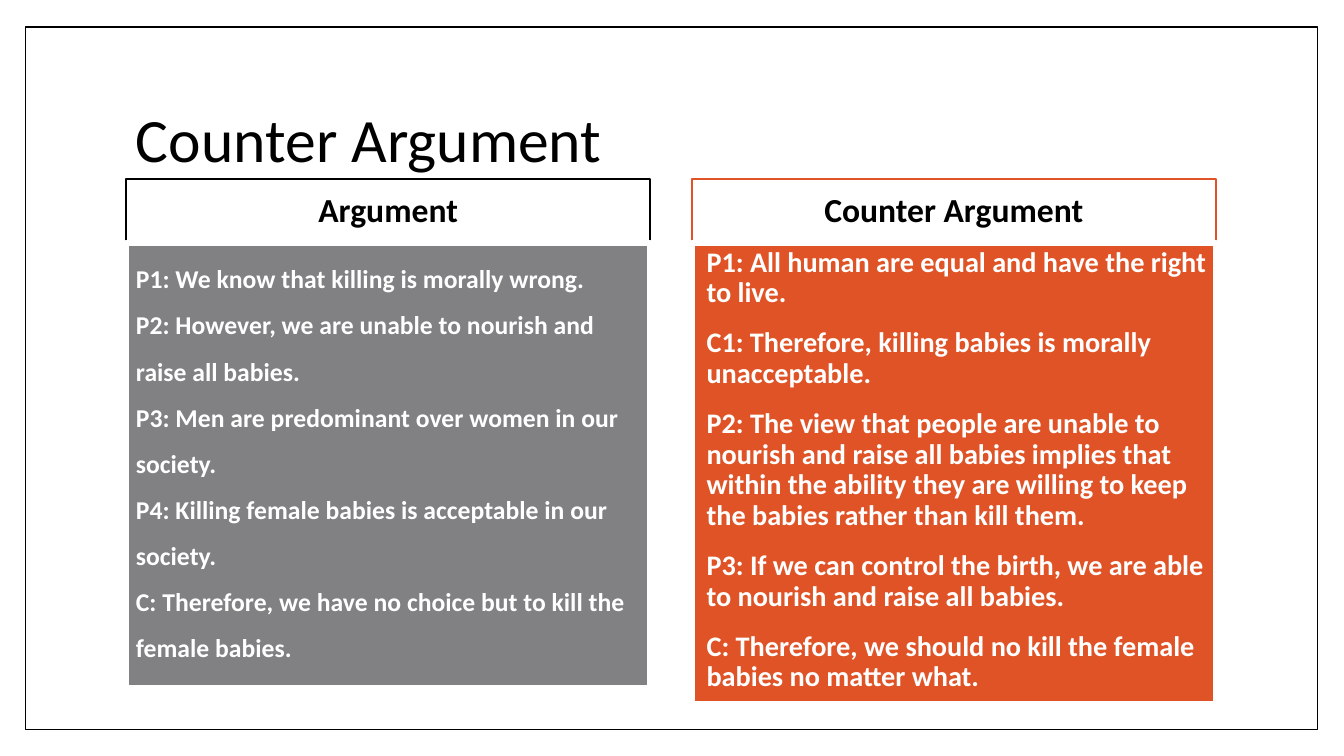
from pptx import Presentation
from pptx.dml.color import RGBColor
from pptx.enum.shapes import MSO_SHAPE
from pptx.enum.text import MSO_ANCHOR, PP_ALIGN
from pptx.util import Inches, Pt

HUES = {"white": "FFFFFF", "black": "000000", "gray": "818183", "orange": "DF5327"}

CLAIMS = [
    "P1: We know that killing is morally wrong.",
    "P2: However, we are unable to nourish and raise all babies.",
    "P3: Men are predominant over women in our society.",
    "P4: Killing female babies is acceptable in our society.",
    "C: Therefore, we have no choice but to kill the female babies.",
]
REPLIES = [
    "P1: All human are equal and have the right to live.",
    "C1: Therefore, killing babies is morally unacceptable.",
    "P2: The view that people are unable to nourish and raise all babies implies "
    "that within the ability they are willing to keep the babies rather than kill them.",
    "P3: If we can control the birth, we are able to nourish and raise all babies.",
    "C: Therefore, we should no kill the female babies no matter what.",
]

# Formats of the text kinds
TITLE = {"size": Pt(44), "bold": False}
HEAD = {"size": Pt(24), "bold": True}
CLAIM = {"size": Pt(18.3), "bold": True}
REPLY = {"size": Pt(20.2), "bold": True}
TIGHT = {"line_spacing": 0.9, "alignment": PP_ALIGN.LEFT}
MIDDLE = {"line_spacing": 0.9, "alignment": PP_ALIGN.CENTER}
LOOSE = {"line_spacing": 1.5, "alignment": PP_ALIGN.LEFT}
SPACED = TIGHT | {"space_before": Pt(14)}


def color(name):
    return RGBColor.from_string(HUES[name])


def apply(target, values):
    for name, value in values.items():
        setattr(target, name, value)


def add_box(slide, place, fill, line, width):
    box = slide.shapes.add_shape(MSO_SHAPE.RECTANGLE, *map(Inches, place))
    box.shadow.inherit = False
    box.fill.solid()
    box.fill.fore_color.rgb = color(fill)
    box.line.color.rgb = color(line)
    box.line.width = Pt(width)
    return box


def write(shape, lines, hue, font, layout, anchor=MSO_ANCHOR.MIDDLE, indent=0):
    frame = shape.text_frame
    apply(frame, {"word_wrap": True, "vertical_anchor": anchor})
    frame.text = "\n".join(lines)
    for para in frame.paragraphs:
        apply(para, layout)
        if indent:
            para._p.get_or_add_pPr().set("marL", str(Inches(indent)))
        for run in para.runs:
            apply(run.font, font | {"name": "Calibri"})
            run.font.color.rgb = color(hue)


def add_column(slide, left, head, edge, lines, fill, height, font, layout, indent=0):
    top, width, tall = 1.78, 5.2, 0.63
    label = add_box(slide, (left, top, width, tall), "white", edge, 1.5)
    write(label, [head], "black", HEAD, MIDDLE)
    body = add_box(slide, (left, top + tall, width, height), fill, "white", 4.25)
    write(body, lines, "white", font, layout, MSO_ANCHOR.TOP, indent)


def main():
    deck = Presentation()
    apply(deck, {"slide_width": Inches(13.33), "slide_height": Inches(7.5)})
    slide = deck.slides.add_slide(deck.slide_layouts[6])

    # Frame and title
    add_box(slide, (0.25, 0.27, 12.82, 6.97), "white", "black", 1)
    title = slide.shapes.add_textbox(*map(Inches, (1.25, 0.67, 10.8, 1.48)))
    write(title, ["Counter Argument"], "black", TITLE, TIGHT)

    # Two facing columns
    add_column(slide, 1.25, "Argument", "black", CLAIMS, "gray", 4.42, CLAIM, LOOSE)
    add_column(slide, 6.86, "Counter Argument", "orange", REPLIES, "orange", 4.57,
               REPLY, SPACED, 0.05)

    deck.save("out.pptx")


if __name__ == "__main__":
    main()
